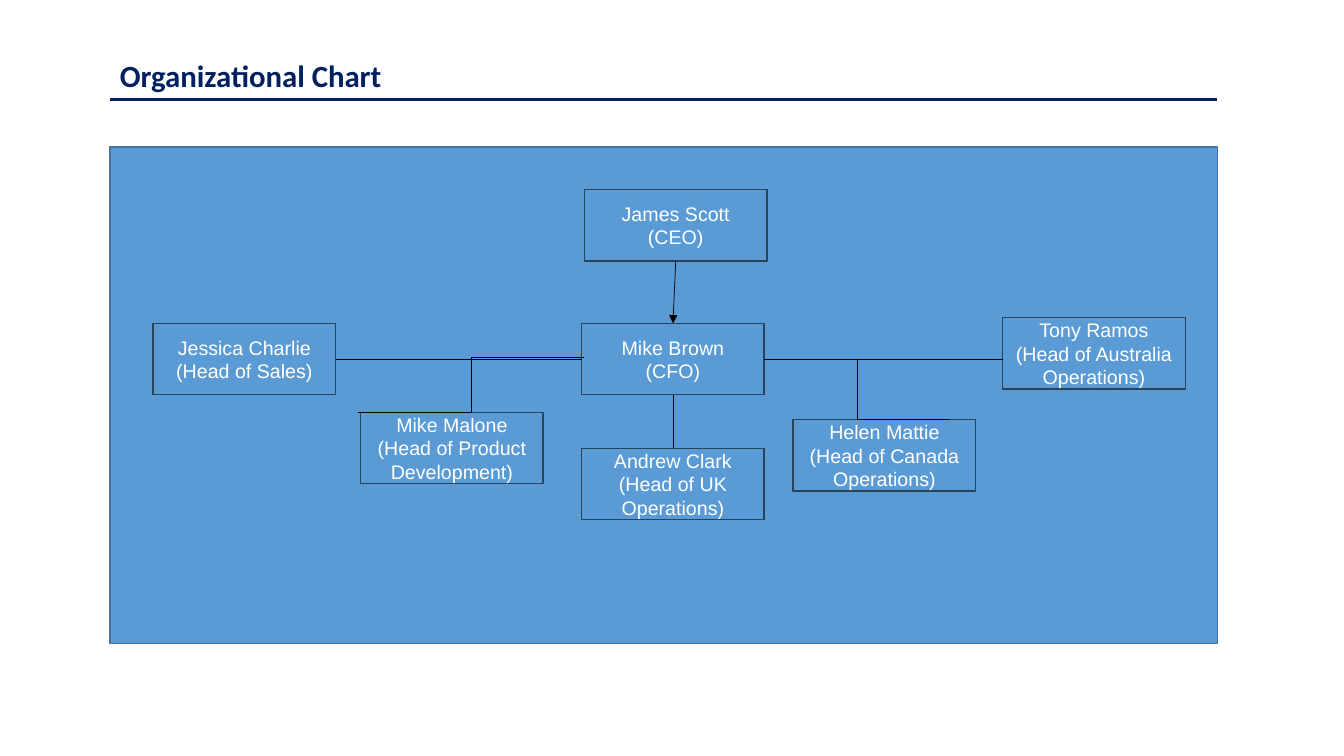
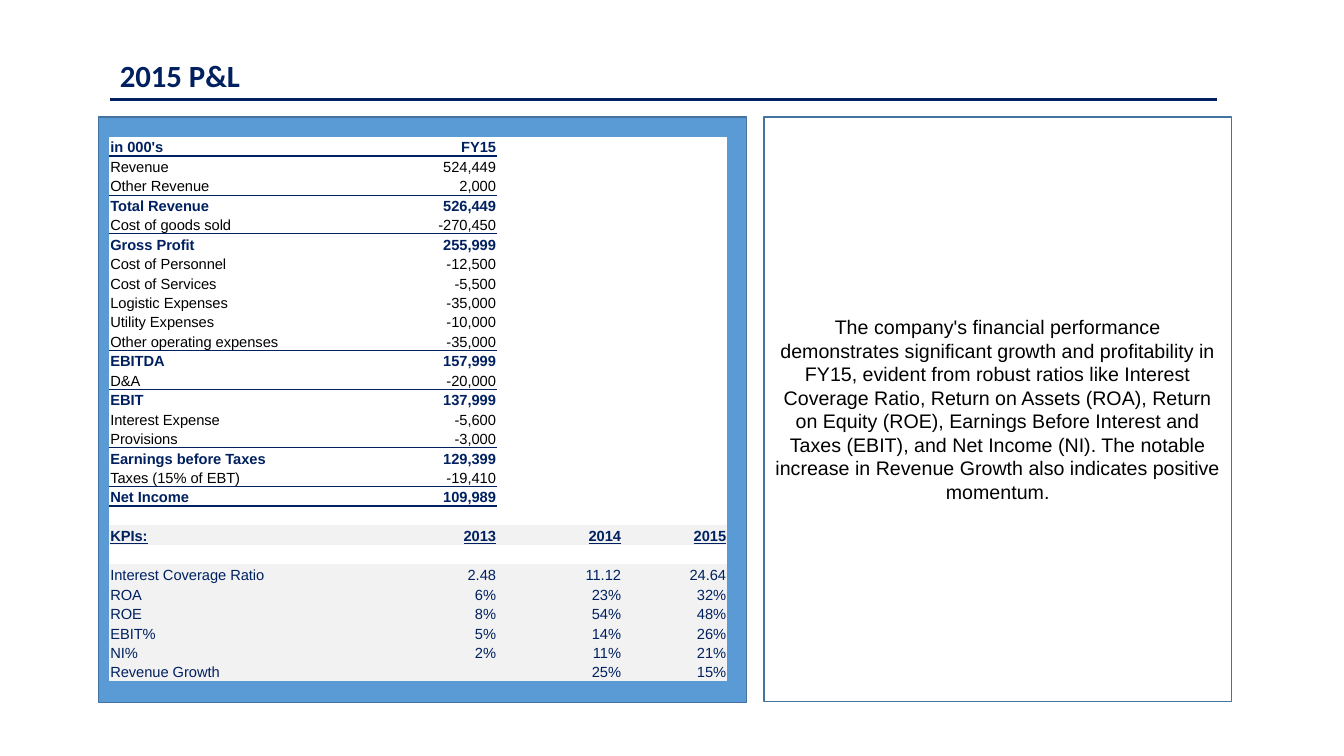
from lxml.etree import SubElement
from pptx import Presentation
from pptx.dml.color import RGBColor
from pptx.enum.shapes import MSO_CONNECTOR as LINK, MSO_SHAPE as SHAPE
from pptx.enum.text import MSO_ANCHOR as ANCHOR, PP_ALIGN as ALIGN
from pptx.oxml import parse_xml
from pptx.oxml.ns import nsdecls, qn
from pptx.util import Cm, Pt

NAVY, BLACK, WHITE = "002060", "000000", "FFFFFF"
BLUE, EDGE, BOX_EDGE, GREY = "5B9BD5", "43739E", "28445D", "F2F2F2"
NO_STYLE = "{2D5ABB26-0587-4C30-8999-92F81FD0307C}"
TOP, LEFT, BOTTOM, RIGHT = range(4)

BOX_W, BOX_H = 4.6, 1.8
PEOPLE = {
    "CEO": ("James Scott\v(CEO)", 14.73, 4.78),
    "CFO": ("Mike Brown\v(CFO)", 14.66, 8.15),
    "Sales": ("Jessica Charlie (Head of Sales)", 3.86, 8.15),
    "Product": ("Mike Malone (Head of Product Development)", 9.09, 10.39),
    "UK": ("Andrew Clark (Head of UK Operations)", 14.66, 11.3),
    "Canada": ("Helen Mattie (Head of Canada Operations)", 19.99, 10.57),
    "Australia": ("Tony Ramos (Head of Australia Operations)", 25.27, 8),
}

COL_WIDTHS = (6.35, 3.43, 3.15, 2.65)
ROW_H = 0.49
PROFIT_LOSS = [
    ("in 000's", "FY15"),
    ("Revenue", "524,449"),
    ("Other Revenue", "2,000"),
    ("Total Revenue", "526,449"),
    ("Cost of goods sold", "-270,450"),
    ("Gross Profit", "255,999"),
    ("Cost of Personnel", "-12,500"),
    ("Cost of Services", "-5,500"),
    ("Logistic Expenses", "-35,000"),
    ("Utility Expenses", "-10,000"),
    ("Other operating expenses", "-35,000"),
    ("EBITDA", "157,999"),
    ("D&A", "-20,000"),
    ("EBIT", "137,999"),
    ("Interest Expense", "-5,600"),
    ("Provisions", "-3,000"),
    ("Earnings before Taxes", "129,399"),
    ("Taxes (15% of EBT)", "-19,410"),
    ("Net Income", "109,989"),
]
TOTALS = {"in 000's", "Total Revenue", "Gross Profit", "EBITDA", "EBIT",
          "Earnings before Taxes", "Net Income"}
KPI_HEAD = ("KPIs:", "2013", "2014", "2015")
KPIS = [
    ("Interest Coverage Ratio", "2.48", "11.12", "24.64"),
    ("ROA", "6%", "23%", "32%"),
    ("ROE", "8%", "54%", "48%"),
    ("EBIT%", "5%", "14%", "26%"),
    ("NI%", "2%", "11%", "21%"),
    ("Revenue Growth", "", "25%", "15%"),
]
COMMENT = (
    "The company's financial performance demonstrates significant growth and "
    "profitability in FY15, evident from robust ratios like Interest Coverage "
    "Ratio, Return on Assets (ROA), Return on Equity (ROE), Earnings Before "
    "Interest and Taxes (EBIT), and Net Income (NI). The notable increase in "
    "Revenue Growth also indicates positive momentum."
)


def rgb(color):
    return RGBColor.from_string(color)


class Deck:
    def __init__(self):
        self.prs = Presentation()
        self.prs.slide_width, self.prs.slide_height = Cm(33.87), Cm(19.05)

    def slide(self, title):
        """Start a slide with its title and the rule below it."""
        self.s = self.prs.slides.add_slide(self.prs.slide_layouts[6])
        self.line((2.77, 2.51), (30.66, 2.51), NAVY, 2.25)
        tf = self.s.shapes.add_textbox(Cm(2.77), Cm(1.3), Cm(9.3), Cm(1.19)).text_frame
        tf.word_wrap = True
        self.set_text(tf, title, 22, NAVY, "Calibri", bold=True)

    def set_text(self, tf, text, size, color, name="Arial", align=ALIGN.LEFT,
                 bold=False, underline=False):
        tf.text = text
        p = tf.paragraphs[0]
        p.alignment = align
        font = p.font
        font.name, font.size, font.color.rgb = name, Pt(size), rgb(color)
        font.bold, font.underline = bold, underline
        if not text:  # keeps an empty row as low as the others
            SubElement(p._p, qn("a:endParaRPr")).set("sz", str(int(size * 100)))

    def box(self, x, y, w, h, text="", fill=BLUE, edge=EDGE, color=WHITE):
        sp = self.s.shapes.add_shape(SHAPE.RECTANGLE, Cm(x), Cm(y), Cm(w), Cm(h))
        sp.shadow.inherit = False
        if fill:
            sp.fill.solid()
            sp.fill.fore_color.rgb = rgb(fill)
        else:
            sp.fill.background()
        sp.line.color.rgb, sp.line.width = rgb(edge), Pt(1)
        if text:
            tf = sp.text_frame
            tf.word_wrap, tf.vertical_anchor = True, ANCHOR.MIDDLE
            self.set_text(tf, text, 14, color, align=ALIGN.CENTER)
        return sp

    def line(self, start, end, color=BLACK, width=0.5, kind=LINK.STRAIGHT, arrow=False):
        cx = self.s.shapes.add_connector(kind, *map(Cm, start + end))
        cx.line.color.rgb, cx.line.width = rgb(color), Pt(width)
        props = cx._element.spPr
        if arrow:
            SubElement(props.find(qn("a:ln")), qn("a:tailEnd")).set("type", "triangle")
        SubElement(props, qn("a:effectLst"))
        return cx

    def join(self, a, a_side, b, b_side, arrow=False):
        cx = self.line((0, 0), (0, 0), arrow=arrow)
        cx.begin_connect(a, a_side)
        cx.end_connect(b, b_side)

    def table(self, x, y, widths, row_h, n_rows):
        frame = self.s.shapes.add_table(n_rows, len(widths), Cm(x), Cm(y),
                                        Cm(sum(widths)), Cm(row_h * n_rows))
        table = frame.table
        table.first_row = table.horz_banding = False
        table._tbl.tblPr.find(qn("a:tableStyleId")).text = NO_STYLE
        for col, width in zip(table.columns, widths):
            col.width = Cm(width)
        for row in table.rows:
            row.height = Cm(row_h)
        return table

    def row(self, table, i, values, fill=WHITE, color=NAVY, rule=0, **style):
        """Fill one table row; a rule of that many points underlines its values."""
        for j, cell in enumerate(table.rows[i].cells):
            cell.margin_left = cell.margin_right = cell.margin_top = Cm(0.03)
            cell.margin_bottom = 0
            cell.vertical_anchor = ANCHOR.BOTTOM
            cell.fill.solid()
            cell.fill.fore_color.rgb = rgb(fill)
            self.set_text(cell.text_frame, values[j] if j < len(values) else "", 10.5,
                          color, align=ALIGN.RIGHT if j else ALIGN.LEFT, **style)
            if rule and j < len(values):
                cell._tc.get_or_add_tcPr().insert(0, parse_xml(
                    f'<a:lnB {nsdecls("a")} w="{Pt(rule)}"><a:solidFill>'
                    f'<a:srgbClr val="{NAVY}"/></a:solidFill></a:lnB>'))


def org_chart(deck):
    deck.slide("Organizational Chart")
    deck.box(2.77, 3.71, 27.91, 12.5)
    people = {key: deck.box(x, y, BOX_W, BOX_H, text, edge=BOX_EDGE)
              for key, (text, x, y) in PEOPLE.items()}
    cfo = people["CFO"]
    deck.join(people["CEO"], BOTTOM, cfo, TOP, arrow=True)
    deck.join(cfo, BOTTOM, people["UK"], TOP)
    deck.join(people["Sales"], RIGHT, cfo, LEFT)
    deck.line((19.26, 9.05), (25.27, 9.05)).begin_connect(cfo, RIGHT)
    deck.line((19.26, 9.05), (23.95, 10.57), kind=LINK.ELBOW)
    deck.line((14.73, 9), (9.02, 10.39), kind=LINK.ELBOW)


def profit_and_loss(deck):
    deck.slide("2015 P&L")
    deck.box(2.49, 2.95, 16.33, 14.76)
    deck.box(19.25, 2.95, 11.79, 14.73, COMMENT, fill=None, color=BLACK)

    n = len(PROFIT_LOSS)
    table = deck.table(2.75, 3.44, COL_WIDTHS, ROW_H, n + 3 + len(KPIS))
    for i, values in enumerate(PROFIT_LOSS):
        total = values[0] in TOTALS
        if i in (0, n - 1):
            rule = 1
        else:
            rule = 0.5 if PROFIT_LOSS[i + 1][0] in TOTALS else 0
        deck.row(table, i, values, color=NAVY if total else BLACK, rule=rule, bold=total)
    deck.row(table, n, ())
    deck.row(table, n + 1, KPI_HEAD, GREY, bold=True, underline=True)
    deck.row(table, n + 2, ())
    for i, values in enumerate(KPIS, n + 3):
        deck.row(table, i, values, GREY)


def main():
    deck = Deck()
    org_chart(deck)
    profit_and_loss(deck)
    deck.prs.save("out.pptx")


if __name__ == "__main__":
    main()
